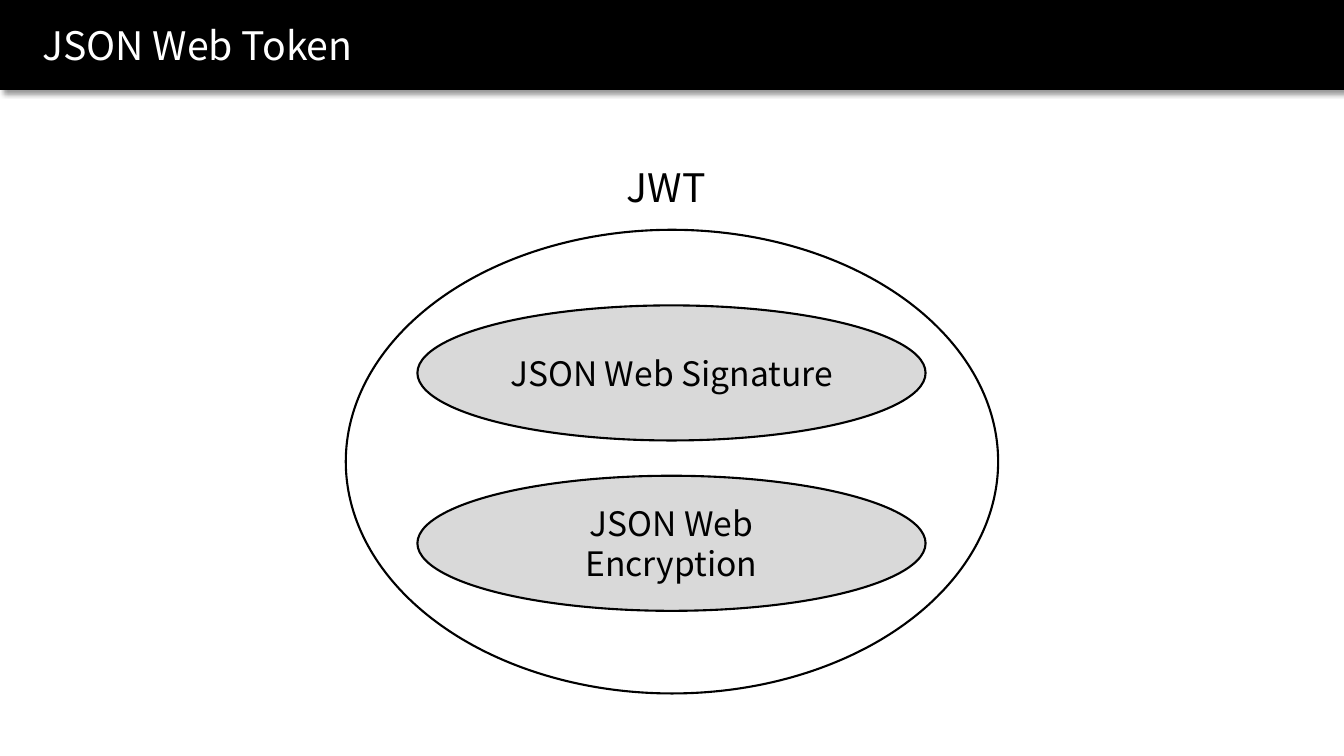
from lxml import etree
from pptx import Presentation
from pptx.dml.color import RGBColor
from pptx.enum.shapes import MSO_SHAPE
from pptx.enum.text import MSO_ANCHOR, MSO_AUTO_SIZE, PP_ALIGN
from pptx.oxml import parse_xml
from pptx.util import Inches, Pt

FONT = "Noto Sans CJK KR"
BLACK, WHITE, GREY = "000000", "FFFFFF", "D9D9D9"
SHADOW = """<a:effectLst xmlns:a="http://schemas.openxmlformats.org/drawingml/2006/main">
<a:outerShdw blurRad="50800" dist="38100" dir="2700000" algn="tl" rotWithShape="0">
<a:srgbClr val="000000"><a:alpha val="40000"/></a:srgbClr></a:outerShdw></a:effectLst>"""


def color(hex_code):
    """Turn a hex string into a colour."""
    return RGBColor.from_string(hex_code)


def write(frame, text, size, hex_code, align, anchor):
    """Fill a text frame with one formatted paragraph."""
    frame.text = text
    frame.vertical_anchor = anchor
    paragraph = frame.paragraphs[0]
    paragraph.alignment = align
    font = paragraph.runs[0].font
    font.name, font.size = FONT, Pt(size)
    font.color.rgb = color(hex_code)
    return paragraph


def add_outlined(slide, kind, box, fill):
    """Add a filled preset shape with a black outline and no shadow."""
    shape = slide.shapes.add_shape(kind, *map(Inches, box))
    shape.shadow.inherit = False
    shape.fill.solid()
    shape.fill.fore_color.rgb = color(fill)
    shape.line.color.rgb = color(BLACK)
    shape.line.width = Pt(1.5)
    return shape


def add_header(slide, text):
    """Place the shadowed bar behind the slide title."""
    bar = add_outlined(slide, MSO_SHAPE.RECTANGLE, (0, 0, 13.33, 0.88), BLACK)
    properties = bar.element.spPr
    properties.remove(properties.find("{*}effectLst"))
    properties.append(parse_xml(etree.tostring(etree.fromstring(SHADOW))))
    title = slide.shapes.title
    title.element.addprevious(bar.element)
    title.left, title.top = Inches(0.32), Inches(0.14)
    title.width, title.height = Inches(12.54), Inches(0.59)
    title.text_frame.auto_size = MSO_AUTO_SIZE.NONE
    paragraph = write(title.text_frame, text, 28, WHITE, PP_ALIGN.LEFT, MSO_ANCHOR.BOTTOM)
    paragraph.line_spacing = 0.9


def add_label(slide, text, box):
    """Add an unwrapped label."""
    frame = slide.shapes.add_textbox(*map(Inches, box)).text_frame
    frame.word_wrap = False
    frame.auto_size = MSO_AUTO_SIZE.SHAPE_TO_FIT_TEXT
    write(frame, text, 28, BLACK, PP_ALIGN.LEFT, MSO_ANCHOR.TOP)


def add_member(slide, text, top):
    """Add a grey ellipse naming one kind of token."""
    member = add_outlined(slide, MSO_SHAPE.OVAL, (4.14, top, 5.04, 1.34), GREY)
    member.text_frame.word_wrap = True
    write(member.text_frame, text, 24, BLACK, PP_ALIGN.CENTER, MSO_ANCHOR.MIDDLE)


def main():
    """Build and save the slide."""
    deck = Presentation()
    deck.slide_width, deck.slide_height = Inches(13.33), Inches(7.5)
    slide = deck.slides.add_slide(deck.slide_layouts[5])
    slide.background.fill.solid()
    slide.background.fill.fore_color.rgb = color(WHITE)
    add_header(slide, "JSON Web Token")
    add_outlined(slide, MSO_SHAPE.OVAL, (3.43, 2.28, 6.47, 4.6), WHITE)
    add_label(slide, "JWT", (6.12, 1.57, 1.1, 0.57))
    for index, name in enumerate(("JSON Web Signature", "JSON Web Encryption")):
        add_member(slide, name, 3.03 + 1.69 * index)
    deck.save("out.pptx")


if __name__ == "__main__":
    main()
